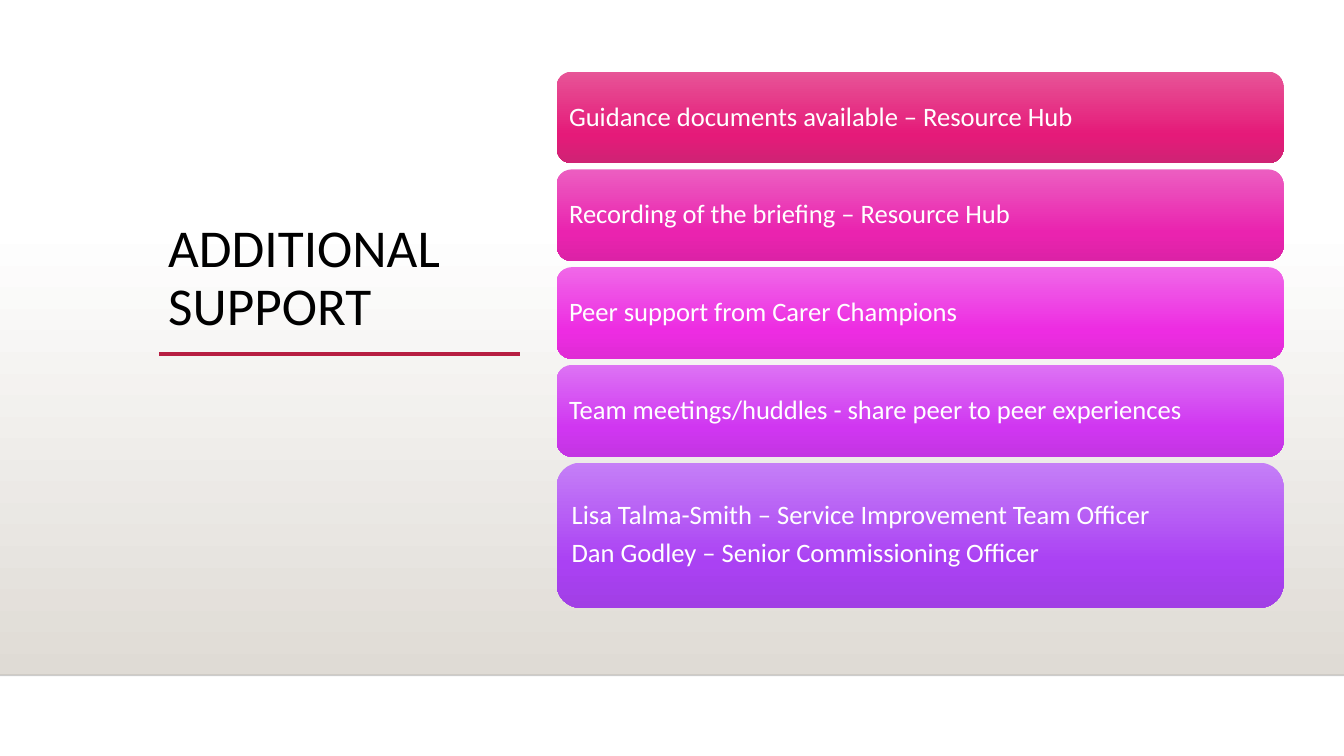
import copy
import dataclasses

import lxml.etree
import pptx
import pptx.dml.color
import pptx.dml.fill
import pptx.enum.shapes
import pptx.enum.text
import pptx.oxml.ns
import pptx.shapes.autoshape
import pptx.shapes.connector
import pptx.slide
import pptx.text.text
import pptx.util

RGB = pptx.dml.color.RGBColor
SHAPE = pptx.enum.shapes.MSO_SHAPE
qn = pptx.oxml.ns.qn

# The slide is a grid of 133.3 columns by 75 rows of equal cells.
COLUMNS, ROWS = 133.3, 75
CELL = pptx.util.Inches(0.1)
FONT = "Calibri"

WHITE = RGB(0xFF, 0xFF, 0xFF)
BLACK = RGB(0x00, 0x00, 0x00)
FLOOR_GREY = RGB(0xDF, 0xDB, 0xD5)
ACCENT_RED = RGB(0xB7, 0x1E, 0x42)

HORIZON_TOP, HORIZON = 22.1, 67
BAR_LEFT, BAR_TOP, BAR_WIDTH, BAR_GAP = 55.2, 7.1, 72.1, 0.6


@dataclasses.dataclass(frozen=True)
class Bar:
    lines: tuple[str, ...]
    light: RGB
    middle: RGB
    dark: RGB
    rows: float = 9.1


BARS = (
    Bar(("Guidance documents available – Resource Hub",),
        RGB(0xE7, 0x55, 0x97), RGB(0xE5, 0x1A, 0x79), RGB(0xCF, 0x23, 0x74)),
    Bar(("Recording of the briefing – Resource Hub",),
        RGB(0xEC, 0x5E, 0xC1), RGB(0xEA, 0x23, 0xAF), RGB(0xDC, 0x22, 0xA6)),
    Bar(("Peer support from Carer Champions",),
        RGB(0xF0, 0x68, 0xE8), RGB(0xED, 0x2C, 0xE2), RGB(0xE0, 0x2B, 0xD5)),
    Bar(("Team meetings/huddles - share peer to peer experiences",),
        RGB(0xDD, 0x73, 0xF4), RGB(0xD0, 0x36, 0xF1), RGB(0xC4, 0x35, 0xE3)),
    Bar(("Lisa Talma-Smith – Service Improvement Team Officer",
         "Dan Godley – Senior Commissioning Officer"),
        RGB(0xC5, 0x7F, 0xF7), RGB(0xAA, 0x41, 0xF3), RGB(0xA1, 0x3F, 0xE5), rows=14.4),
)


def cells(count: float) -> pptx.util.Emu:
    return pptx.util.Emu(round(count * CELL))


def add_gradient_shape(
    slide: pptx.slide.Slide,
    preset: SHAPE,
    area: tuple[float, float, float, float],
    stops: tuple[tuple[float, RGB], ...],
) -> pptx.shapes.autoshape.Shape:
    """Add a borderless shape shaded from top to bottom through the stops."""
    shape = slide.shapes.add_shape(preset, *map(cells, area))
    shape.shadow.inherit = False
    shape.line.fill.background()
    shape.fill.gradient()
    shape.fill.gradient_angle = 270
    stop_list = next(shape._element.spPr.iter(qn("a:gsLst")))
    for _ in stops[2:]:
        stop_list.append(copy.deepcopy(stop_list[-1]))
    for stop, (position, color) in zip(shape.fill.gradient_stops, stops):
        stop.position = position
        stop.color.rgb = color
    return shape


def add_rule(
    slide: pptx.slide.Slide, left: float, right: float, row: float, color: RGB, points: float
) -> pptx.shapes.connector.Connector:
    rule = slide.shapes.add_connector(
        pptx.enum.shapes.MSO_CONNECTOR.STRAIGHT, *map(cells, (left, row, right, row)))
    rule.line.color.rgb = color
    rule.line.width = pptx.util.Pt(points)
    lxml.etree.SubElement(rule._element.spPr, qn("a:effectLst"))
    return rule


def write(
    frame: pptx.text.text.TextFrame,
    lines: tuple[str, ...],
    size: float,
    color: RGB,
    space_after: float = 0,
) -> None:
    frame.word_wrap = True
    frame.vertical_anchor = pptx.enum.text.MSO_ANCHOR.MIDDLE
    frame.text = "\n".join(lines)
    for paragraph in frame.paragraphs:
        paragraph.alignment = pptx.enum.text.PP_ALIGN.LEFT
        paragraph.line_spacing = 0.9
        paragraph.space_after = pptx.util.Pt(space_after)
        paragraph.font.name = FONT
        paragraph.font.size = pptx.util.Pt(size)
        paragraph.font.color.rgb = color


def add_backdrop(slide: pptx.slide.Slide) -> None:
    slide.background.fill.solid()
    slide.background.fill.fore_color.rgb = WHITE
    add_gradient_shape(slide, SHAPE.RECTANGLE,
                       (0, HORIZON_TOP, COLUMNS, HORIZON - HORIZON_TOP),
                       ((0, WHITE), (1, FLOOR_GREY)))
    horizon = add_rule(slide, 0, COLUMNS, HORIZON, BLACK, 1)
    tint = next(horizon._element.spPr.iter(qn("a:srgbClr")))
    lxml.etree.SubElement(tint, qn("a:alpha")).set("val", "20000")


def add_heading(slide: pptx.slide.Slide) -> None:
    add_rule(slide, 15.8, 51.6, 35.1, ACCENT_RED, 2.5)
    heading = slide.shapes.add_textbox(*map(cells, (15.7, 15.4, 35.8, 24.6)))
    write(heading.text_frame, ("ADDITIONAL SUPPORT",), 38, BLACK)


def add_bars(slide: pptx.slide.Slide) -> None:
    top = BAR_TOP
    for bar in BARS:
        shape = add_gradient_shape(
            slide, SHAPE.ROUNDED_RECTANGLE, (BAR_LEFT, top, BAR_WIDTH, bar.rows),
            ((0, bar.light), (0.69, bar.middle), (1, bar.dark)))
        frame = shape.text_frame
        frame.margin_left = frame.margin_right = cells(0.8)
        frame.margin_top = frame.margin_bottom = cells(0.8)
        write(frame, bar.lines, 19, WHITE, space_after=6.5)
        top += bar.rows + BAR_GAP


def main() -> None:
    deck = pptx.Presentation()
    deck.slide_width, deck.slide_height = cells(COLUMNS), cells(ROWS)
    slide = deck.slides.add_slide(deck.slide_layouts[6])
    add_backdrop(slide)
    add_heading(slide)
    add_bars(slide)
    deck.save("out.pptx")


if __name__ == "__main__":
    main()
